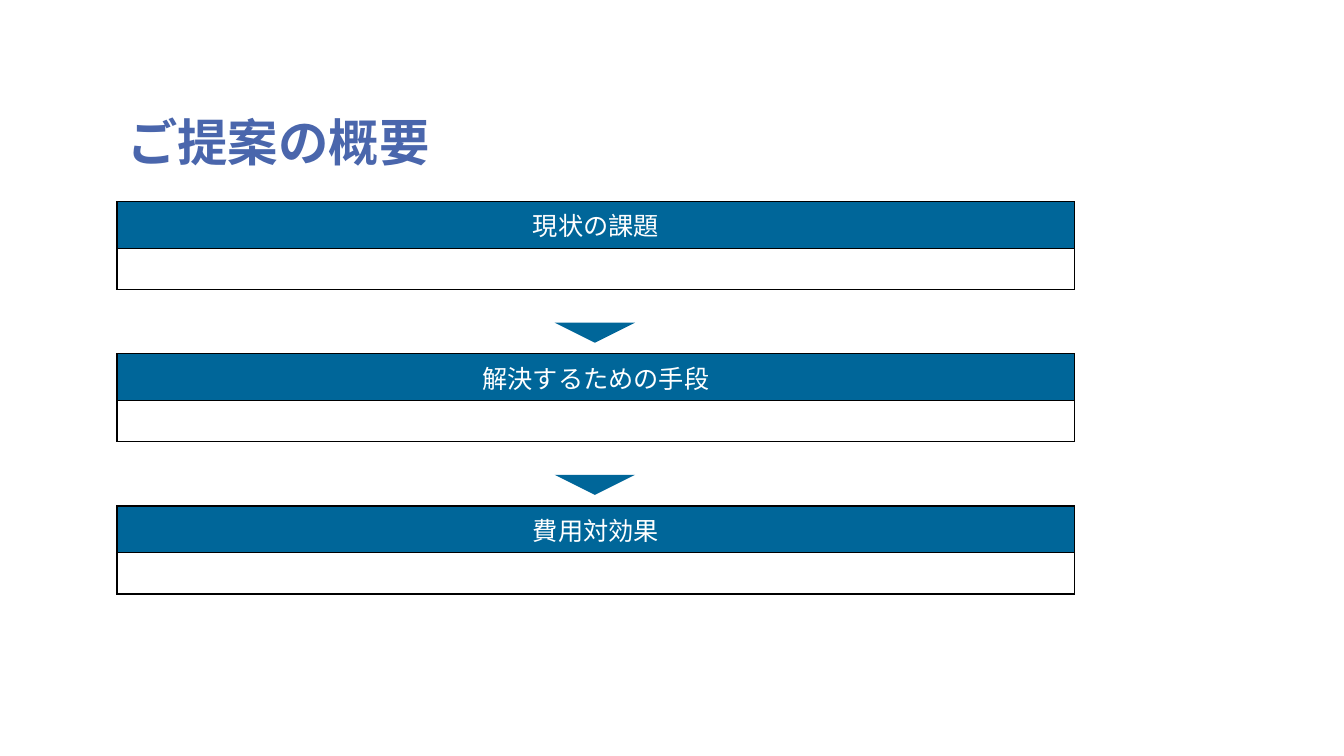
"""Build the proposal overview slide: three headed tables linked by down-pointing triangles."""
from lxml.etree import SubElement
from pptx import Presentation
from pptx.dml.color import RGBColor
from pptx.enum.shapes import MSO_SHAPE
from pptx.enum.text import MSO_ANCHOR, PP_ALIGN
from pptx.oxml.ns import qn
from pptx.util import Inches, Pt

TITLE = "ご提案の概要"
SECTIONS = ["現状の課題", "解決するための手段", "費用対効果"]
COLORS = {"title": "4A66AC", "header": "006699", "body": "FFFFFF",
          "header_text": "FFFFFF", "border": "000000"}
TITLE_FONT, TABLE_FONT = "Noto Sans CJK JP", "Cambria"

LEFT, WIDTH = 1.16, 9.5
FIRST_TOP, STEP, ROW_HEIGHT = 2.0, 1.51, 0.41
ARROW_LEFT, ARROW_WIDTH, ARROW_HEIGHT, ARROW_OFFSET = 5.5, 0.8, 0.2, 1.2


def color(name):
    return RGBColor.from_string(COLORS[name])


def add_span(para, text, font_name, size, color_name, bold=False):
    span = para.add_run()
    span.text = text
    span.font.name = font_name
    span.font.size = Pt(size)
    span.font.bold = bold
    span.font.color.rgb = color(color_name)
    return span


def add_borders(cell):
    properties = cell._tc.get_or_add_tcPr()
    for index, side in enumerate(("lnL", "lnR", "lnT", "lnB")):
        line = properties.makeelement(qn(f"a:{side}"), {"w": str(Pt(1))})
        fill = SubElement(line, qn("a:solidFill"))
        SubElement(fill, qn("a:srgbClr"), val=COLORS["border"])
        properties.insert(index, line)


def add_section(page, heading, top):
    frame = page.shapes.add_table(2, 1, Inches(LEFT), Inches(top),
                                  Inches(WIDTH), Inches(2 * ROW_HEIGHT))
    table = frame.table
    for row, fill_name in zip(table.rows, ("header", "body")):
        row.height = Inches(ROW_HEIGHT)
        cell = row.cells[0]
        cell.fill.solid()
        cell.fill.fore_color.rgb = color(fill_name)
        add_borders(cell)
    para = table.cell(0, 0).text_frame.paragraphs[0]
    para.alignment = PP_ALIGN.CENTER
    add_span(para, heading, TABLE_FONT, 18, "header_text")


def add_arrow(page, top):
    arrow = page.shapes.add_shape(MSO_SHAPE.ISOSCELES_TRIANGLE, Inches(ARROW_LEFT), Inches(top),
                                  Inches(ARROW_WIDTH), Inches(ARROW_HEIGHT))
    arrow.rotation = 180
    arrow.shadow.inherit = False
    arrow.fill.solid()
    arrow.fill.fore_color.rgb = color("header")
    arrow.line.fill.background()


def add_title(page):
    title = page.shapes.title
    title.left, title.top = Inches(LEFT), Inches(0.58)
    title.width, title.height = Inches(WIDTH), Inches(1.17)
    title.text_frame.vertical_anchor = MSO_ANCHOR.BOTTOM
    title.text_frame.word_wrap = True
    para = title.text_frame.paragraphs[0]
    para.alignment = PP_ALIGN.LEFT
    para.line_spacing = 0.8
    span = add_span(para, TITLE, TITLE_FONT, 36, "title", bold=True)
    SubElement(span.font._element, qn("a:ea"), typeface=TITLE_FONT)


deck = Presentation()
deck.slide_width, deck.slide_height = Inches(13.33), Inches(7.5)
page = deck.slides.add_slide(deck.slide_layouts[5])
add_title(page)
for index, heading in enumerate(SECTIONS):
    section_top = FIRST_TOP + index * STEP
    add_section(page, heading, section_top)
    if index < len(SECTIONS) - 1:
        add_arrow(page, section_top + ARROW_OFFSET)
deck.save("out.pptx")
